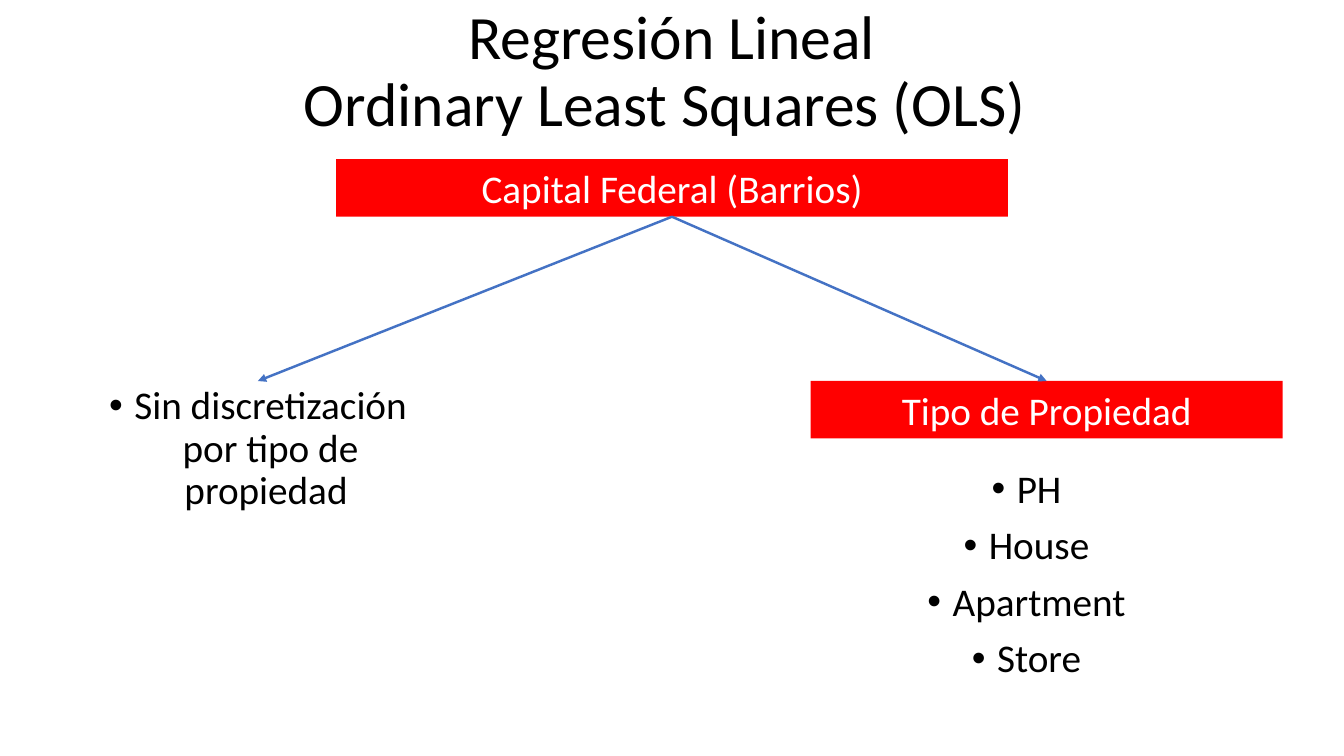
from lxml import etree
from pptx import Presentation
from pptx import util as u
from pptx.dml.color import RGBColor
from pptx.enum import shapes, text
from pptx.oxml.ns import qn

THEME = {
    "font": "Calibri",
    "ink": RGBColor.from_string("000000"),
    "paper": RGBColor.from_string("FFFFFF"),
    "banner": RGBColor.from_string("FF0000"),
    "arrow": RGBColor.from_string("4472C4"),
    "title": u.Pt(44),
    "body": u.Pt(28),
    "arrow_width": u.Pt(1.75),
}

deck = Presentation()
deck.slide_width, deck.slide_height = u.Inches(13.33), u.Inches(7.5)
COLUMN, ROW = deck.slide_width / 16, deck.slide_height / 15
BRANCH_ROW, BANNER_ROWS = 7.56, 1.14

slide = deck.slides.add_slide(deck.slide_layouts[5])


def cells(left, top, width, height):
    """Turn grid columns and rows into slide lengths."""
    return [round(n * unit) for n, unit in
            zip((left, top, width, height), (COLUMN, ROW, COLUMN, ROW))]


def write(frame, lines, size, color, spacing=1.0, bullets=False):
    """Fill a text frame with centred paragraphs, bulleted on request."""
    frame.word_wrap = True
    frame.text = "\n".join(lines)
    for line in frame.paragraphs:
        line.alignment, line.line_spacing = text.PP_ALIGN.CENTER, spacing
        for run in line.runs:
            for key, value in {"name": THEME["font"], "size": size}.items():
                setattr(run.font, key, value)
            run.font.color.rgb = color
        if bullets:
            line.space_before = u.Pt(10)
            layout = line._p.get_or_add_pPr()
            layout.set("marL", str(u.Inches(0.25)))
            layout.set("indent", str(-u.Inches(0.25)))
            etree.SubElement(layout, qn("a:buFont"), typeface="Arial")
            etree.SubElement(layout, qn("a:buChar"), char="•")


# Title
heading = slide.shapes.title
heading.left, heading.top, heading.width, heading.height = cells(1.1, 0, 13.8, 2.9)
write(heading.text_frame, ["Regresión Lineal\vOrdinary Least Squares (OLS) "],
      THEME["title"], THEME["ink"], spacing=0.9)
heading.text_frame.vertical_anchor = text.MSO_ANCHOR.MIDDLE
heading.text_frame.auto_size = text.MSO_AUTO_SIZE.NONE

# Bulleted lists
lists = []
for area, lines in [
    ((1.1, BRANCH_ROW, 3.94, 2.9), ["Sin discretización por tipo de propiedad "]),
    ((10.78, 9.22, 2.88, 6.02), ["PH", "House", "Apartment", "Store"]),
]:
    listing = slide.shapes.add_textbox(*cells(*area))
    write(listing.text_frame, lines, THEME["body"], THEME["ink"], 0.9, bullets=True)
    lists.append(listing)

# Red banners
banners = []
for left, top, width, label in [
    (4, 3.16, 8, "Capital Federal (Barrios)"),
    (9.65, BRANCH_ROW, 5.62, "Tipo de Propiedad"),
]:
    banner = slide.shapes.add_shape(shapes.MSO_SHAPE.RECTANGLE,
                                    *cells(left, top, width, BANNER_ROWS))
    banner.shadow.inherit = False
    banner.fill.solid()
    banner.fill.fore_color.rgb = THEME["banner"]
    banner.line.fill.background()
    write(banner.text_frame, [label], THEME["body"], THEME["paper"])
    banners.append(banner)

# Arrows from the bottom of the root banner to the top of each branch
root, property_type = banners
for branch in (lists[0], property_type):
    arrow = slide.shapes.add_connector(shapes.MSO_CONNECTOR.STRAIGHT, 0, 0, 0, 0)
    arrow.begin_connect(root, 2)
    arrow.end_connect(branch, 0)
    arrow.line.color.rgb = THEME["arrow"]
    arrow.line.width = THEME["arrow_width"]
    etree.SubElement(arrow.line._get_or_add_ln(), qn("a:tailEnd"), type="triangle")
    etree.SubElement(arrow._element.spPr, qn("a:effectLst"))

deck.save("out.pptx")
